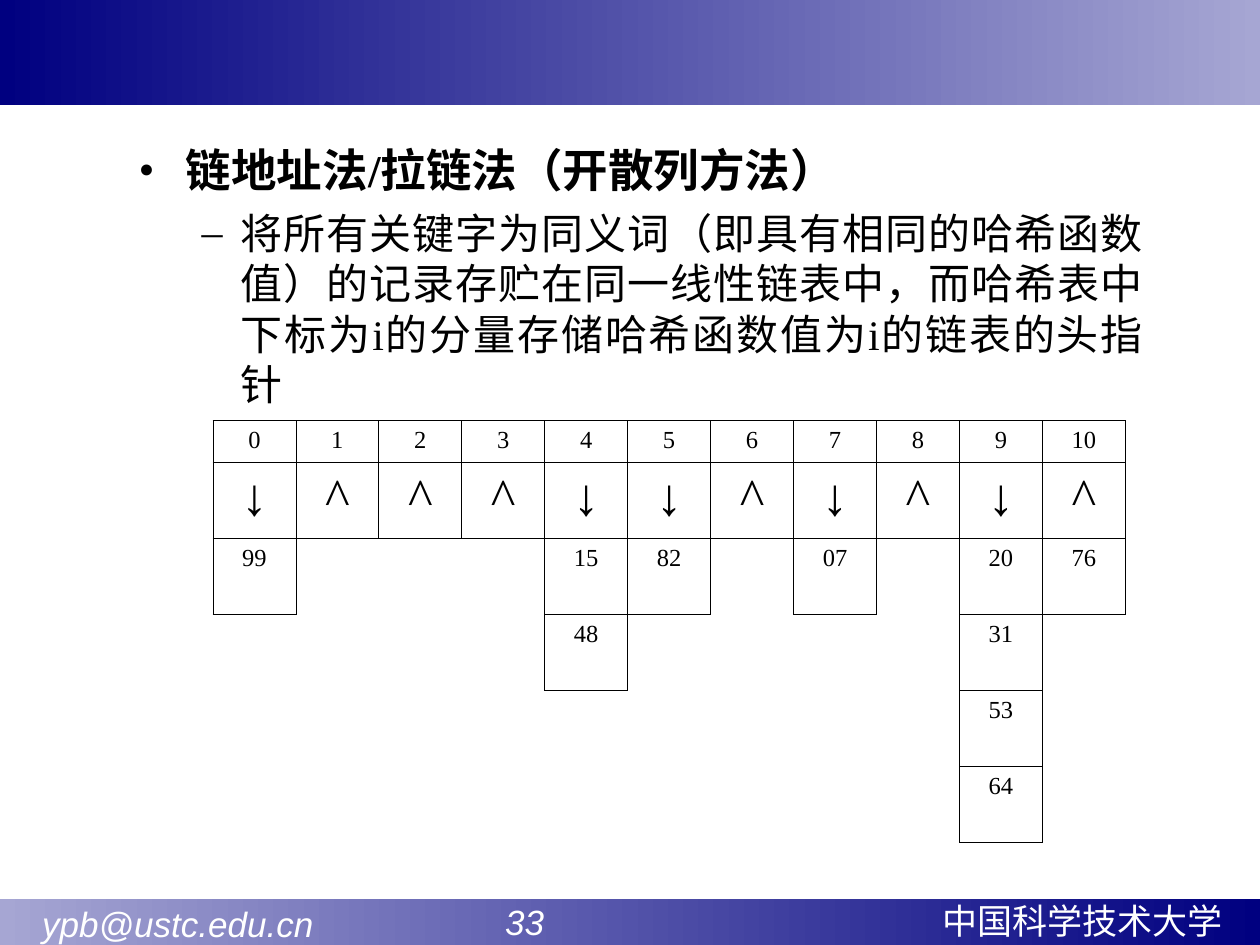
import dataclasses

import lxml.etree
import pptx
import pptx.dml.color
import pptx.enum.shapes
import pptx.enum.text
import pptx.oxml.ns
import pptx.util

Pt = pptx.util.Pt
qn = pptx.oxml.ns.qn


@dataclasses.dataclass(frozen=True)
class Theme:
    ink: str = "000000"
    paper: str = "FFFFFF"
    navy: str = "000080"
    lavender: str = "A6A6D3"
    serif: str = "Times New Roman"
    sans: str = "Arial"
    heading_size: float = 26
    body_size: float = 24
    footer_size: float = 20
    key_size: float = 14
    pointer_size: float = 30
    border: float = 0.45


@dataclasses.dataclass(frozen=True)
class Band:
    top: float
    height: float
    start: str
    end: str


@dataclasses.dataclass(frozen=True)
class FooterText:
    text: str
    left: float
    top: float
    width: float
    italic: bool


@dataclasses.dataclass(frozen=True)
class BulletPoint:
    text: str
    level: int
    bullet: str
    margin: float
    hanging: float
    space_before: float
    size: float
    bold: bool


THEME = Theme()
PAGE_WIDTH, PAGE_HEIGHT = 720, 540
TABLE_LEFT, TABLE_TOP = 121.7, 240.4
COLUMN_WIDTH, HEADER_HEIGHT, ROW_HEIGHT = 47.4, 24, 43.4
POINTER_ROW = 1

BANDS = [
    Band(514, 28, THEME.lavender, THEME.navy),
    Band(0, 60, THEME.navy, THEME.lavender),
]
FOOTERS = [
    FooterText("中国科学技术大学", 531.4, 510.5, 185, False),
    FooterText("33", 281.5, 511.2, 106, True),
    FooterText("ypb@ustc.edu.cn", 17, 512, 175, True),
]
POINTS = [
    BulletPoint("链地址法/拉链法（开散列方法）", 0, "•", 27, 27, 0, THEME.heading_size, True),
    BulletPoint(
        "将所有关键字为同义词（即具有相同的哈希函数值）的记录存贮在同一线性链表中，"
        "而哈希表中下标为i的分量存储哈希函数值为i的链表的头指针",
        1, "–", 58.5, 22.5, 6, THEME.body_size, False,
    ),
]
POINTERS = "↓^^^↓↓^↓^↓^"
CHAINS = {
    0: ["99"],
    4: ["15", "48"],
    5: ["82"],
    7: ["07"],
    9: ["20", "31", "53", "64"],
    10: ["76"],
}
SIDES = {"lnL": (0, -1), "lnR": (0, 1), "lnT": (-1, 0), "lnB": (1, 0)}


def color(value: str) -> pptx.dml.color.RGBColor:
    return pptx.dml.color.RGBColor.from_string(value)


def style(para, name: str, size: float, ink: str, bold: bool = False, italic: bool = False) -> None:
    font = para.font
    font.name, font.size = name, Pt(size)
    font.bold, font.italic = bold, italic
    font.color.rgb = color(ink)


def draw_band(page, band: Band) -> None:
    shape = page.shapes.add_shape(
        pptx.enum.shapes.MSO_SHAPE.RECTANGLE, 0, Pt(band.top), Pt(PAGE_WIDTH), Pt(band.height)
    )
    shape.shadow.inherit = False
    shape.line.fill.background()
    shape.fill.gradient()
    shape.fill.gradient_angle = 0
    for stop, position, value in zip(shape.fill.gradient_stops, (0, 1), (band.start, band.end)):
        stop.position = position
        stop.color.rgb = color(value)


def draw_footer(page, footer: FooterText) -> None:
    box = page.shapes.add_textbox(Pt(footer.left), Pt(footer.top), Pt(footer.width), Pt(31.5))
    box.text_frame.word_wrap = True
    para = box.text_frame.paragraphs[0]
    para.text = footer.text
    style(para, THEME.sans, THEME.footer_size, THEME.paper, italic=footer.italic)


def write_point(para, point: BulletPoint) -> None:
    para.text = point.text
    para.level = point.level
    para.alignment = pptx.enum.text.PP_ALIGN.JUSTIFY
    properties = para._p.get_or_add_pPr()
    properties.set("marL", str(Pt(point.margin)))
    properties.set("indent", str(-Pt(point.hanging)))
    bullet_color = lxml.etree.SubElement(properties, qn("a:buClr"))
    lxml.etree.SubElement(bullet_color, qn("a:srgbClr"), val=THEME.ink)
    lxml.etree.SubElement(properties, qn("a:buFont"), typeface=THEME.serif)
    lxml.etree.SubElement(properties, qn("a:buChar"), char=point.bullet)
    para.space_before = Pt(point.space_before)
    style(para, THEME.serif, point.size, THEME.ink, point.bold)


def write_body(page) -> None:
    body = page.placeholders[1]
    body.left, body.top, body.width, body.height = Pt(72), Pt(77.8), Pt(588.2), Pt(372.2)
    frame = body.text_frame
    frame.auto_size = pptx.enum.text.MSO_AUTO_SIZE.NONE
    for index, point in enumerate(POINTS):
        write_point(frame.add_paragraph() if index else frame.paragraphs[0], point)


def draw_border(cell, side: str, visible: bool) -> None:
    properties = cell._tc.get_or_add_tcPr()
    line = lxml.etree.SubElement(properties, qn(f"a:{side}"), w=str(Pt(THEME.border)))
    if visible:
        fill = lxml.etree.SubElement(line, qn("a:solidFill"))
        lxml.etree.SubElement(fill, qn("a:srgbClr"), val=THEME.ink)
    else:
        lxml.etree.SubElement(line, qn("a:noFill"))


def hash_entries() -> dict[tuple[int, int], str]:
    entries = {}
    for column, pointer in enumerate(POINTERS):
        values = [str(column), pointer, *CHAINS.get(column, [])]
        entries.update({(row, column): text for row, text in enumerate(values)})
    return entries


def draw_hash_table(page) -> None:
    entries = hash_entries()
    row_count = 2 + max(map(len, CHAINS.values()))
    column_count = len(POINTERS)
    heights = [HEADER_HEIGHT] + [ROW_HEIGHT] * (row_count - 1)
    table = page.shapes.add_table(
        row_count, column_count, Pt(TABLE_LEFT), Pt(TABLE_TOP),
        Pt(COLUMN_WIDTH * column_count), Pt(sum(heights)),
    ).table
    table.first_row = table.horz_banding = False
    for column in table.columns:
        column.width = Pt(COLUMN_WIDTH)
    for row_index, height in enumerate(heights):
        table.rows[row_index].height = Pt(height)
        size = THEME.pointer_size if row_index == POINTER_ROW else THEME.key_size
        for column_index in range(column_count):
            place = (row_index, column_index)
            cell = table.cell(*place)
            for side, (down, right) in SIDES.items():
                neighbour = (row_index + down, column_index + right)
                draw_border(cell, side, place in entries or neighbour in entries)
            cell.fill.background()
            if place in entries:
                para = cell.text_frame.paragraphs[0]
                para.text = entries[place]
                para.alignment = pptx.enum.text.PP_ALIGN.CENTER
                style(para, THEME.serif, size, THEME.ink)


def main() -> None:
    deck = pptx.Presentation()
    deck.slide_width, deck.slide_height = Pt(PAGE_WIDTH), Pt(PAGE_HEIGHT)
    page = deck.slides.add_slide(deck.slide_layouts[1])
    title = page.shapes.title._element
    title.getparent().remove(title)
    for band in BANDS:
        draw_band(page, band)
    for footer in FOOTERS:
        draw_footer(page, footer)
    write_body(page)
    draw_hash_table(page)
    deck.save("out.pptx")


if __name__ == "__main__":
    main()
